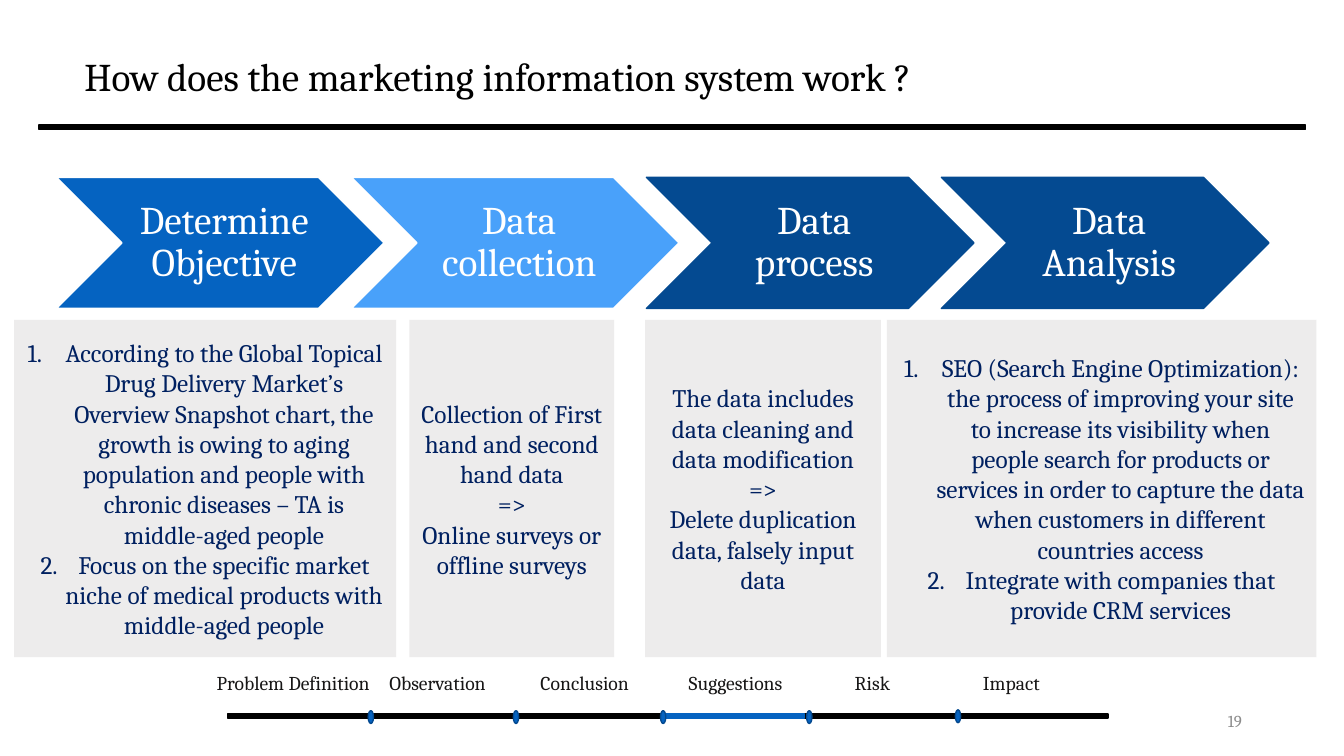
import pptx
import pptx.util
import pptx.dml.color
import pptx.enum.shapes
import pptx.enum.text
import pptx.oxml.ns
import lxml.etree

Pt = pptx.util.Pt
SHAPE = pptx.enum.shapes.MSO_SHAPE
ALIGN = pptx.enum.text.PP_ALIGN
ANCHOR = pptx.enum.text.MSO_ANCHOR

COLORS = {
    "black": "000000", "white": "FFFFFF", "label": "171616", "number": "8C8C8C",
    "blue": "0563C1", "sky": "49A1FA", "navy": "044A91", "rim": "04498F",
    "panel": "E7E6E6", "body": "002060",
}


def rgb(name):
    """Return the named colour."""
    return pptx.dml.color.RGBColor.from_string(COLORS[name])


def add_child(parent, tag, **attrs):
    """Append a drawing element with the given attributes."""
    return lxml.etree.SubElement(parent, pptx.oxml.ns.qn(tag), **attrs)


class Deck:
    """Hold the style and the current slide."""

    font = "Cambria"

    def __init__(self, prs):
        """Add a blank slide."""
        self.s = prs.slides.add_slide(prs.slide_layouts[6])

    def shape(self, kind, box, fill, line=None, alpha=None):
        """Add a preset shape with flat fill and optional outline."""
        sp = self.s.shapes.add_shape(kind, *map(Pt, box))
        sp.shadow.inherit = False
        sp.fill.solid()
        sp.fill.fore_color.rgb = rgb(fill)
        if alpha:
            color = sp._element.spPr.find(".//" + pptx.oxml.ns.qn("a:srgbClr"))
            add_child(color, "a:alpha", val=str(alpha * 1000))
        if line:
            sp.line.color.rgb = rgb(line)
            sp.line.width = Pt(1)
        else:
            sp.line.fill.background()
        return sp

    def fill_text(self, sp, text, size, color, align=ALIGN.CENTER, spacing=None):
        """Put text into a shape and format every run."""
        tf = sp.text_frame
        tf.text = text
        tf.word_wrap = True
        tf.vertical_anchor = ANCHOR.MIDDLE
        for p in tf.paragraphs:
            p.alignment = align
            p.line_spacing = spacing
            for r in p.runs:
                r.font.name = self.font
                r.font.size = Pt(size)
                r.font.color.rgb = rgb(color)
        return tf

    def text(self, box, text, size, color, align=ALIGN.LEFT, spacing=None):
        """Add a text box."""
        sp = self.s.shapes.add_textbox(*map(Pt, box))
        return self.fill_text(sp, text, size, color, align, spacing)

    def label(self, left, width, text):
        """Add a one-line label above the progress line."""
        tf = self.text((left, 475.9, width, 24.5), text, 14, "label")
        tf.word_wrap = False
        tf.vertical_anchor = ANCHOR.TOP
        tf.auto_size = pptx.enum.text.MSO_AUTO_SIZE.SHAPE_TO_FIT_TEXT

    def bar(self, left, top, width, color):
        """Add a thick horizontal bar."""
        self.shape(SHAPE.MATH_MINUS, (left, top, width, 13), color, color)

    def chevron(self, left, text, fill, line):
        """Add a step chevron with its name."""
        sp = self.shape(SHAPE.CHEVRON, (left, 126.7, 234, 93.6), fill, line)
        tf = self.fill_text(sp, text, 28, "white", spacing=0.9)
        tf.margin_left = Pt(8.64)
        tf.margin_right = tf.margin_top = tf.margin_bottom = Pt(2.88)

    def panel(self, left, width, lines, numbered):
        """Add a translucent panel with the details of a step."""
        sp = self.shape(SHAPE.RECTANGLE, (left, 228.5, width, 241), "panel", alpha=75)
        tf = self.fill_text(sp, "\n".join(lines), 18, "body")
        if numbered:
            for p in tf.paragraphs:
                pPr = p._p.get_or_add_pPr()
                pPr.set("marL", str(Pt(27)))
                pPr.set("indent", str(-Pt(27)))
                add_child(pPr, "a:buFont", typeface="+mj-lt")
                add_child(pPr, "a:buAutoNum", type="arabicPeriod")


prs = pptx.Presentation()
prs.slide_width, prs.slide_height = Pt(960), Pt(540)
deck = Deck(prs)

deck.bar(-135.4, 84.4, 1231.2, "black")
deck.text((53.3, 4.3, 828, 104.4), "How does the marketing information system work ?",
          28, "black", spacing=0.9)

# Progress line
deck.bar(49, 504.9, 856, "black")
deck.bar(454.3, 504.9, 139, "blue")
for left, top in [(263, 507.6), (366.7, 507.6), (471.8, 507.6), (576.2, 507.6), (682.4, 507)]:
    deck.shape(SHAPE.OVAL, (left, top, 3.8, 9.2), "blue", "rim")
for left, width, name in [
    (147.7, 129.6, "Problem Definition"), (271, 87.8, "Observation"),
    (379, 81.4, "Conclusion"), (484.9, 86.4, "Suggestions"),
    (603.4, 41, "Risk"), (695, 56.9, "Impact"),
]:
    deck.label(left, width, name)
deck.text((678.2, 500.5, 216, 28.8), "19", 12, "number", ALIGN.RIGHT)

# Steps
steps = [
    ("Determine Objective", "blue", "white", 10, 273, True, [
        "According to the Global Topical Drug Delivery Market’s Overview Snapshot chart, "
        "the growth is owing to aging population and people with chronic diseases "
        "– TA is middle-aged people",
        "Focus on the specific market niche of medical products with middle-aged people"]),
    ("Data collection", "sky", "white", 292.5, 146.2, False, [
        "Collection of First hand and second hand data",
        "=>",
        "Online surveys or offline surveys"]),
    ("Data process", "navy", "navy", 460.8, 168.5, False, [
        "The data includes data cleaning and data modification",
        "=>",
        "Delete duplication data, falsely input data"]),
    ("Data Analysis", "navy", "navy", 633.6, 306.7, True, [
        "SEO (Search Engine Optimization): the process of improving your site to increase "
        "its visibility when people search for products or services in order to capture "
        "the data when customers in different countries access",
        "Integrate with companies that provide CRM services"]),
]
for i, (name, fill, line, left, width, numbered, lines) in enumerate(steps):
    deck.chevron(40.3 + 210.7 * i, name, fill, line)
    deck.panel(left, width, lines, numbered)

prs.save("out.pptx")
